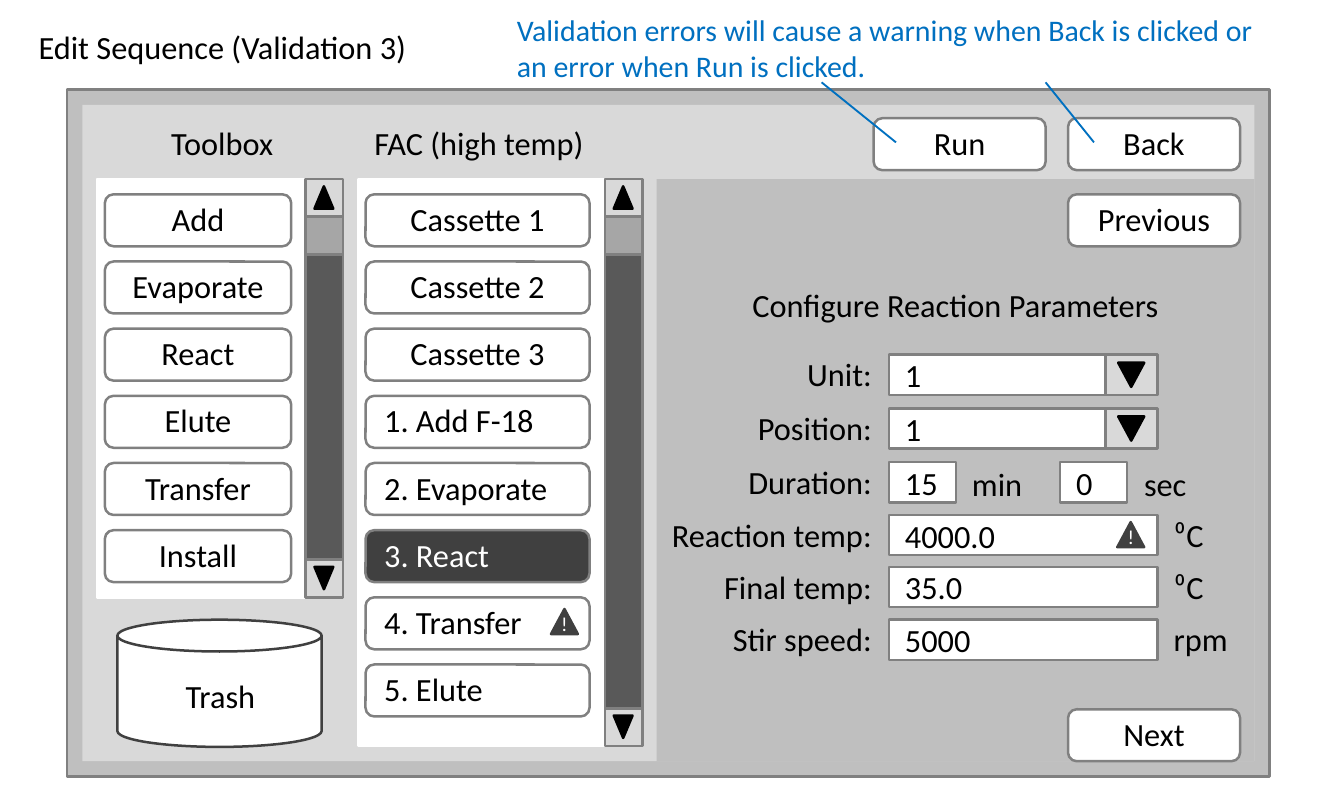
from lxml.etree import SubElement
from pptx import Presentation
from pptx.dml.color import RGBColor
from pptx.enum.shapes import MSO_CONNECTOR, MSO_SHAPE
from pptx.enum.text import MSO_ANCHOR, MSO_AUTO_SIZE, PP_ALIGN
from pptx.oxml.ns import qn
from pptx.util import Inches, Pt

BLACK, WHITE, BLUE = "000000", "FFFFFF", "0070C0"
FRAME, PANEL, BORDER = "BFBFBF", "D9D9D9", "808080"
DARK, TRACK, THUMB = "404040", "595959", "A6A6A6"
LEFT, CENTER, RIGHT = PP_ALIGN.LEFT, PP_ALIGN.CENTER, PP_ALIGN.RIGHT
BUTTON_HEIGHT = 0.58
BUTTON_PITCH = 0.75
FIELD_LEFT, FIELD_WIDTH, FIELD_HEIGHT = 9.92, 3, 0.45
ARROW_WIDTH = 0.58


def color(hex_string):
    """Turn a hex string into a colour."""
    return RGBColor.from_string(hex_string)


def write(frame, words, align=LEFT, ink=BLACK, size=26):
    """Write one run of text into a text frame."""
    frame.word_wrap = True
    paragraph = frame.paragraphs[0]
    paragraph.alignment = align
    run = paragraph.add_run()
    run.text = words
    run.font.name = "Calibri"
    run.font.size = Pt(size)
    run.font.color.rgb = color(ink)


def set_margins(frame, left=0.1, top=0.05, right=0.1, bottom=0.05):
    """Set the four text insets in inches."""
    frame.margin_left, frame.margin_right = Inches(left), Inches(right)
    frame.margin_top, frame.margin_bottom = Inches(top), Inches(bottom)


def add_label(slide, words, left, top, width, height=0.54, **style):
    """Add plain text without a box."""
    label = slide.shapes.add_textbox(
        Inches(left), Inches(top), Inches(width), Inches(height))
    write(label.text_frame, words, **style)


def add_block(slide, left, top, width, height, fill, line=None,
              kind=MSO_SHAPE.RECTANGLE):
    """Add a filled shape, outlined when a line colour is given."""
    block = slide.shapes.add_shape(
        kind, Inches(left), Inches(top), Inches(width), Inches(height))
    block.shadow.inherit = False
    block.fill.solid()
    block.fill.fore_color.rgb = color(fill)
    if line:
        block.line.color.rgb = color(line)
        block.line.width = Pt(2)
    else:
        block.line.fill.background()
    return block


def add_button(slide, words, left, top, width, align=CENTER, selected=False):
    """Add a rounded button with its caption."""
    fill, ink = (DARK, WHITE) if selected else (WHITE, BLACK)
    button = add_block(slide, left, top, width, BUTTON_HEIGHT, fill, BORDER,
                       MSO_SHAPE.ROUNDED_RECTANGLE)
    inset = 0.18 if align == LEFT else 0.05
    set_margins(button.text_frame, inset, 0, 0.05, 0.04)
    button.text_frame.vertical_anchor = MSO_ANCHOR.MIDDLE
    write(button.text_frame, words, align, ink)


def add_arrow(slide, left, top, width, height, down=False):
    """Add a black triangle that points up or down."""
    arrow = add_block(slide, left, top, width, height, BLACK, BLACK,
                      MSO_SHAPE.ISOSCELES_TRIANGLE)
    arrow.rotation = 180 if down else 0


def add_scroll_list(slide, left, width, height, top=2, bar=0.42):
    """Add a white list area with a scroll bar on its right edge."""
    bar_left = left + width - bar
    end_top = top + height - bar
    add_block(slide, left, top, width, height, WHITE, WHITE)
    add_block(slide, bar_left, top + 0.58, bar, height - 1, TRACK, BORDER)
    add_block(slide, bar_left, top + bar, bar, bar, THUMB, BORDER)
    for end, down in ((top, False), (end_top, True)):
        add_block(slide, bar_left, end, bar, bar, PANEL, BORDER)
        add_arrow(slide, bar_left + 0.1, end + 0.08, 0.21, 0.25, down)


def add_field(slide, value, left, top, width):
    """Add an input field holding a value."""
    field = add_block(slide, left, top, width, FIELD_HEIGHT, WHITE, BORDER)
    set_margins(field.text_frame, 0.18, 0, 0, 0)
    field.text_frame.vertical_anchor = MSO_ANCHOR.MIDDLE
    write(field.text_frame, value)


def add_dropdown(slide, value, top):
    """Add an input field that ends in a drop-down arrow."""
    arrow_left = FIELD_LEFT + FIELD_WIDTH - ARROW_WIDTH
    add_field(slide, value, FIELD_LEFT, top, FIELD_WIDTH - ARROW_WIDTH)
    add_block(slide, arrow_left, top, ARROW_WIDTH, FIELD_HEIGHT, PANEL, BORDER)
    add_arrow(slide, arrow_left + 0.14, top + 0.09, 0.29, 0.27, down=True)


def add_warning(slide, left, top):
    """Add a warning triangle with an exclamation mark."""
    add_block(slide, left, top, 0.3, 0.28, DARK, DARK,
              MSO_SHAPE.ISOSCELES_TRIANGLE)
    add_label(slide, "!", left - 0.07, top - 0.02, 0.44, 0.37,
              align=CENTER, ink=WHITE, size=16)


def add_pointer(slide, start_x, start_y, end_x, end_y):
    """Add a thin blue line from a button to the note."""
    pointer = slide.shapes.add_connector(
        MSO_CONNECTOR.STRAIGHT, Inches(start_x), Inches(start_y),
        Inches(end_x), Inches(end_y))
    pointer.line.color.rgb = color(BLUE)
    pointer.line.width = Pt(1.5)
    SubElement(pointer._element.spPr, qn("a:effectLst"))


def add_heading(slide, words):
    """Place the slide title at the top left."""
    title = slide.shapes.title
    title.left, title.top = Inches(0.33), Inches(0.25)
    title.width, title.height = Inches(4.58), Inches(0.54)
    title.text_frame.auto_size = MSO_AUTO_SIZE.NONE
    title.text_frame.vertical_anchor = MSO_ANCHOR.TOP
    set_margins(title.text_frame)
    write(title.text_frame, words)


def add_toolbox(slide):
    """Add the list of operations and the trash can."""
    add_scroll_list(slide, 1.08, 2.75, 4.67)
    tools = ("Add", "Evaporate", "React", "Elute", "Transfer", "Install")
    for row, tool in enumerate(tools):
        add_button(slide, tool, 1.17, 2.17 + row * BUTTON_PITCH, 2.08)
    add_label(slide, "Toolbox", 1.17, 1.33, 2.62, align=CENTER)
    add_block(slide, 1.31, 6.92, 2.28, 1.42, WHITE, DARK, MSO_SHAPE.CAN)
    add_label(slide, "Trash", 1.42, 7.5, 2.08, align=CENTER)


def add_sequence(slide):
    """Add the cassettes and the numbered steps."""
    add_label(slide, "FAC (high temp)", 4.08, 1.33, 3)
    add_scroll_list(slide, 4, 3.17, 6.33)
    cassettes = ["Cassette 1", "Cassette 2", "Cassette 3"]
    steps = ["1. Add F-18", "2. Evaporate", "3. React", "4. Transfer",
             "5. Elute"]
    for row, entry in enumerate(cassettes + steps):
        add_button(slide, entry, 4.08, 2.17 + row * BUTTON_PITCH, 2.5,
                   align=CENTER if entry in cassettes else LEFT,
                   selected=entry == "3. React")
    add_warning(slide, 6.15, 6.8)


def add_parameters(slide):
    """Add the form with the reaction parameters."""
    add_label(slide, "Configure Reaction Parameters", 7.83, 3.13, 5.67,
              align=CENTER)
    tops = {"Unit:": 3.96, "Position:": 4.56, "Duration:": 5.16,
            "Reaction temp:": 5.75, "Final temp:": 6.33, "Stir speed:": 6.92}
    for name, top in tops.items():
        add_label(slide, name, 7.25, top - 0.05, 2.58, align=RIGHT)
    for name in ("Unit:", "Position:"):
        add_dropdown(slide, "1", tops[name])
    for value, unit, left, unit_left in (("15", "min", FIELD_LEFT, 10.75),
                                         ("0", "sec", 11.83, 12.67)):
        add_field(slide, value, left, tops["Duration:"], 0.75)
        add_label(slide, unit, unit_left, tops["Duration:"] - 0.03, 0.83)
    for name, value, unit in (("Reaction temp:", "4000.0", "⁰C"),
                              ("Final temp:", "35.0", "⁰C"),
                              ("Stir speed:", "5000", "rpm")):
        add_field(slide, value, FIELD_LEFT, tops[name], FIELD_WIDTH)
        add_label(slide, unit, 13, tops[name] - 0.05, 0.92)
    add_warning(slide, 12.47, 5.83)


def main():
    """Build the slide and save it."""
    deck = Presentation()
    deck.slide_width, deck.slide_height = Inches(15), Inches(9)
    slide = deck.slides.add_slide(deck.slide_layouts[5])
    add_block(slide, 0.75, 1, 13.42, 7.67, FRAME, BORDER)
    add_block(slide, 0.92, 1.17, 13.08, 7.33, PANEL)
    add_block(slide, 7.33, 2, 6.67, 6.5, FRAME)
    add_heading(slide, "Edit Sequence (Validation 3)")
    for words, left, top in (("Back", 11.92, 1.32), ("Run", 9.75, 1.32),
                             ("Previous", 11.92, 2.17), ("Next", 11.92, 7.92)):
        add_button(slide, words, left, top, 1.92)
    add_sequence(slide)
    add_toolbox(slide)
    add_parameters(slide)
    add_label(slide, "Validation errors will cause a warning when Back is "
              "clicked or an error when Run is clicked.",
              5.67, 0.08, 8.42, 0.91, ink=BLUE, size=24)
    add_pointer(slide, 10, 1.59, 9.17, 0.92)
    add_pointer(slide, 12.21, 1.59, 11.67, 0.92)
    deck.save("out.pptx")


main()
